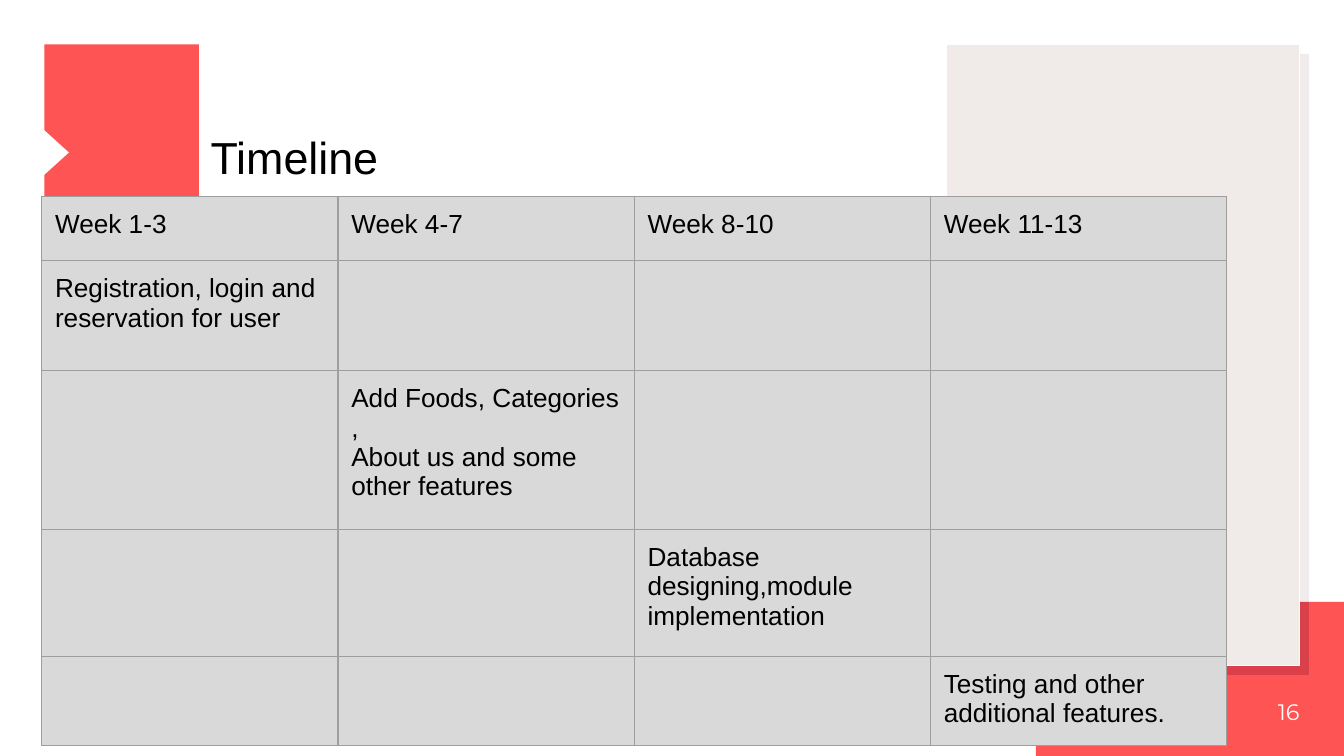
from pptx import Presentation
from pptx.dml.color import RGBColor
from pptx.enum import shapes, text
from pptx.oxml import parse_xml
from pptx.oxml.ns import nsdecls, qn
from pptx.util import Cm, Pt

CORAL = RGBColor(0xFF, 0x54, 0x54)
PLUM = RGBColor(0x5C, 0x00, 0x2D)
SAND = RGBColor(0xF0, 0xEB, 0xE9)
WHITE = RGBColor(0xFF, 0xFF, 0xFF)
BLACK = RGBColor(0, 0, 0)
CELL_GREY = RGBColor(0xD9, 0xD9, 0xD9)
BORDER_GREY = RGBColor(0x9E, 0x9E, 0x9E)

INSET = Cm(0.25)
WEEKS = ["Week 1-3", "Week 4-7", "Week 8-10", "Week 11-13"]
TASKS = [
    "Registration, login and reservation for user",
    "Add Foods, Categories ,\nAbout us and some other features",
    "Database designing,module implementation",
    "Testing and other additional features.",
]
ROW_HEIGHTS = [1.22, 2.08, 3, 2.4, 1.65]


def paint(shape, color, opacity=100):
    shape.shadow.inherit = False
    shape.fill.solid()
    shape.fill.fore_color.rgb = color
    shape.line.fill.background()
    if opacity < 100:
        tint = shape._element.spPr.find(qn("a:solidFill"))[0]
        tint.append(parse_xml(f'<a:alpha {nsdecls("a")} val="{opacity * 1000}"/>'))


def add_block(slide, box, color, opacity=100):
    block = slide.shapes.add_shape(
        shapes.MSO_SHAPE.RECTANGLE, *(Cm(length) for length in box))
    paint(block, color, opacity)
    return block


def format_runs(frame, size, color, font="Arial"):
    for paragraph in frame.paragraphs:
        for run in paragraph.runs:
            run.font.size = Pt(size)
            run.font.name = font
            run.font.color.rgb = color


def add_label(slide, box, words, size, color, font="Arial", inset=INSET):
    label = slide.shapes.add_textbox(*(Cm(length) for length in box))
    frame = label.text_frame
    frame.word_wrap = True
    frame.margin_left = frame.margin_right = inset
    frame.margin_top = frame.margin_bottom = inset
    frame.text = words
    format_runs(frame, size, color, font)
    return frame


def add_notched_flag(slide, box):
    left, top, width, height = box
    right, bottom = left + width, top + height
    middle = top + 0.7 * height
    half_notch = 0.145 * height
    outline = [
        (right, top), (right, bottom), (left, bottom),
        (left, middle + half_notch), (left + 0.16 * width, middle),
        (left, middle - half_notch),
    ]
    builder = slide.shapes.build_freeform(Cm(left), Cm(top))
    builder.add_line_segments([(Cm(x), Cm(y)) for x, y in outline], close=True)
    paint(builder.convert_to_shape(), CORAL)


def add_panel_over_corner(slide, panel, corner):
    left, top, width, height = panel
    offset = 0.18
    shadow = (left + offset, top + offset, width, height)
    overlap = (corner[0], corner[1],
               shadow[0] + width - corner[0], shadow[1] + height - corner[1])
    add_block(slide, corner, CORAL)
    add_block(slide, shadow, PLUM, 8)
    add_block(slide, overlap, PLUM, 16)
    front = add_block(slide, panel, SAND)
    front.line.color.rgb = WHITE
    front.line.width = Pt(0.75)


def add_page_number(slide, box):
    frame = add_label(slide, box, "16", 12, WHITE, "Montserrat", 0)
    frame.vertical_anchor = text.MSO_ANCHOR.MIDDLE
    frame.paragraphs[0].alignment = text.PP_ALIGN.RIGHT


def style_cell(cell):
    properties = cell._tc.get_or_add_tcPr()
    for side in ("lnL", "lnR", "lnT", "lnB"):
        properties.append(parse_xml(
            f'<a:{side} {nsdecls("a")} w="{Pt(0.75)}"><a:solidFill>'
            f'<a:srgbClr val="{BORDER_GREY}"/></a:solidFill></a:{side}>'))
    cell.fill.solid()
    cell.fill.fore_color.rgb = CELL_GREY
    cell.margin_left = cell.margin_right = INSET
    cell.margin_top = cell.margin_bottom = INSET
    format_runs(cell.text_frame, 14, BLACK)


def add_schedule(slide, box):
    schedule = slide.shapes.add_table(
        len(ROW_HEIGHTS), len(WEEKS), *(Cm(length) for length in box)).table
    schedule.first_row = schedule.horz_banding = False
    for row, height in zip(schedule.rows, ROW_HEIGHTS):
        row.height = Cm(height)
    for index, (week, task) in enumerate(zip(WEEKS, TASKS)):
        schedule.columns[index].width = Cm(box[2] / len(WEEKS))
        schedule.cell(0, index).text = week
        schedule.cell(index + 1, index).text = task
    for cell in schedule.iter_cells():
        style_cell(cell)


def add_timeline_slide(deck):
    slide = deck.slides.add_slide(deck.slide_layouts[6])
    add_notched_flag(slide, (0.84, 0.84, 2.92, 2.92))
    add_panel_over_corner(slide, (17.88, 0.84, 6.68, 11.74), (19.58, 11.38, 5.82, 2.91))
    add_page_number(slide, (22.86, 12.6, 1.7, 1.7))
    add_schedule(slide, (0.79, 3.71, 22.4, sum(ROW_HEIGHTS)))
    add_label(slide, (3.73, 2.21, 13.11, 1.55), "Timeline", 24, BLACK)


def main():
    deck = Presentation()
    deck.slide_width = Cm(25.4)
    deck.slide_height = Cm(14.29)
    add_timeline_slide(deck)
    deck.save("out.pptx")


if __name__ == "__main__":
    main()
